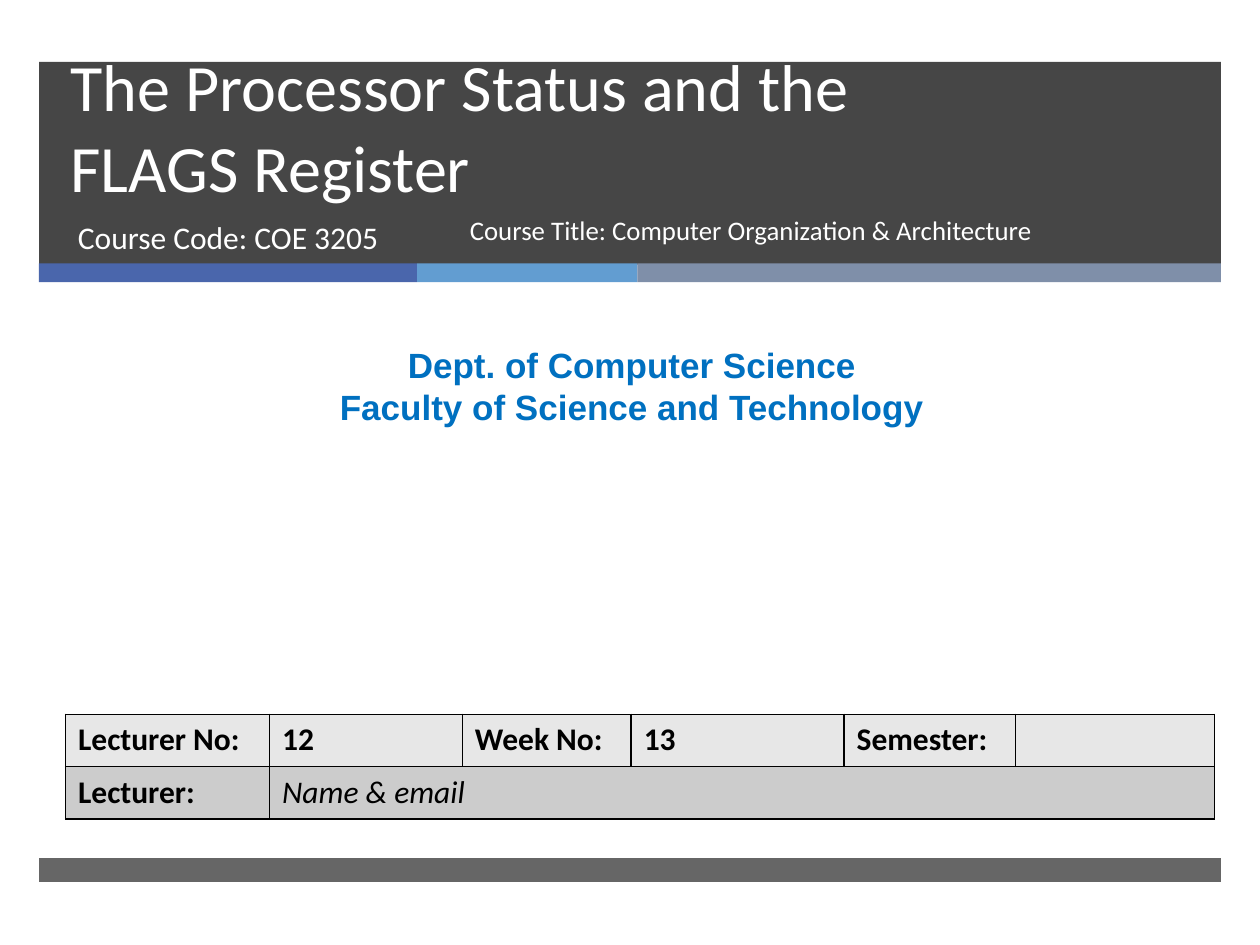
from lxml.etree import SubElement
from pptx import Presentation
from pptx.dml.color import RGBColor
from pptx.enum.shapes import MSO_SHAPE
from pptx.enum.text import MSO_ANCHOR, MSO_AUTO_SIZE, PP_ALIGN
from pptx.oxml.ns import qn
from pptx.util import Inches, Pt

LEFT, WIDTH = 0.31, 9.38
WHITE, BLACK, DARK, BLUE = "FFFFFF", "000000", "262626", "0070C0"
BASE = {"name": "Calibri", "size": Pt(18), "bold": False}
STRIPES = [(3, "4A66AC"), (1.75, "629DD1"), (4.63, "7F8FA9")]
COLUMNS = [1.62, 1.53, 1.34, 1.69, 1.36, 1.58]
ROWS = [
    ("E7E7E7", ["Lecturer No:", "12", "Week No:", "13", "Semester:", ""]),
    ("CCCCCC", ["Lecturer:", "Name & email"]),
]


def set_color(target, value):
    target.rgb = RGBColor.from_string(value)


def format_run(r, color, **values):
    for name, value in {**BASE, **values}.items():
        setattr(r.font, name, value)
    set_color(r.font.color, color)


def add_bar(s, left, top, width, height, color, alpha=100):
    sp = s.shapes.add_shape(MSO_SHAPE.RECTANGLE, *map(Inches, (left, top, width, height)))
    sp.shadow.inherit = False
    sp.line.fill.background()
    sp.fill.solid()
    set_color(sp.fill.fore_color, color)
    if alpha < 100:
        clr = sp.element.spPr.find(qn("a:solidFill"))[0]
        SubElement(clr, qn("a:alpha"), val=str(alpha * 1000))


def fill_text(sp, lines, color, align=PP_ALIGN.LEFT, anchor=MSO_ANCHOR.TOP, spacing=1.0, **values):
    tf = sp.text_frame
    tf.word_wrap = True
    tf.auto_size = MSO_AUTO_SIZE.NONE
    tf.vertical_anchor = anchor
    tf.text = lines
    for p in tf.paragraphs:
        p.alignment = align
        p.line_spacing = spacing
        for r in p.runs:
            format_run(r, color, **values)


def add_text(s, box, lines, color, **values):
    fill_text(s.shapes.add_textbox(*map(Inches, box)), lines, color, **values)


def set_title(s):
    sp = s.shapes.title
    sp.element.getparent().append(sp.element)
    box = {"left": 0.46, "top": 0.49, "width": 8.54, "height": 1.19}
    for name, value in box.items():
        setattr(sp, name, Inches(value))
    fill_text(sp, "The Processor Status and the \vFLAGS Register", WHITE,
              anchor=MSO_ANCHOR.BOTTOM, spacing=Pt(46), size=Pt(37.8))


def format_cell(cell, color):
    tcPr = cell._tc.get_or_add_tcPr()
    for side in ("lnL", "lnR", "lnT", "lnB"):
        ln = SubElement(tcPr, qn(f"a:{side}"), w=str(Pt(1)))
        SubElement(SubElement(ln, qn("a:solidFill")), qn("a:srgbClr"), val=BLACK)
    cell.fill.solid()
    set_color(cell.fill.fore_color, color)


def add_details(s):
    box = map(Inches, (0.52, 5.67, sum(COLUMNS), 0.83))
    table = s.shapes.add_table(len(ROWS), len(COLUMNS), *box).table
    for column, width in zip(table.columns, COLUMNS):
        column.width = Inches(width)
    for i, (color, texts) in enumerate(ROWS):
        for cell in table.rows[i].cells:
            format_cell(cell, color)
        for j, text in enumerate(texts):
            if text:
                r = table.cell(i, j).text_frame.paragraphs[0].add_run()
                r.text = text
                italic = text == "Name & email"
                format_run(r, BLACK, bold=not italic, italic=italic)
    table.cell(1, 1).merge(table.cell(1, len(COLUMNS) - 1))


def main():
    prs = Presentation()
    prs.slide_width, prs.slide_height = Inches(10), Inches(7.5)
    s = prs.slides.add_slide(prs.slide_layouts[5])
    add_bar(s, LEFT, 0.49, WIDTH, 1.61, DARK, 85)
    left = LEFT
    for width, color in STRIPES:
        add_bar(s, left, 2.09, width, 0.15, color)
        left += width
    add_bar(s, LEFT, 6.81, WIDTH, 0.19, DARK, 70)
    set_title(s)
    add_text(s, (0.52, 1.68, 3.05, 0.53), "Course Code: COE 3205", WHITE)
    add_text(s, (0.08, 2.68, 9.87, 0.77),
             "Dept. of Computer Science\nFaculty of Science and Technology", BLUE,
             align=PP_ALIGN.CENTER, name="Arial", size=Pt(20), bold=True)
    add_details(s)
    add_text(s, (3.63, 1.68, 4.69, 0.53),
             "Course Title: Computer Organization & Architecture", WHITE,
             spacing=0.9, size=Pt(15.3))
    prs.save("out.pptx")


if __name__ == "__main__":
    main()
